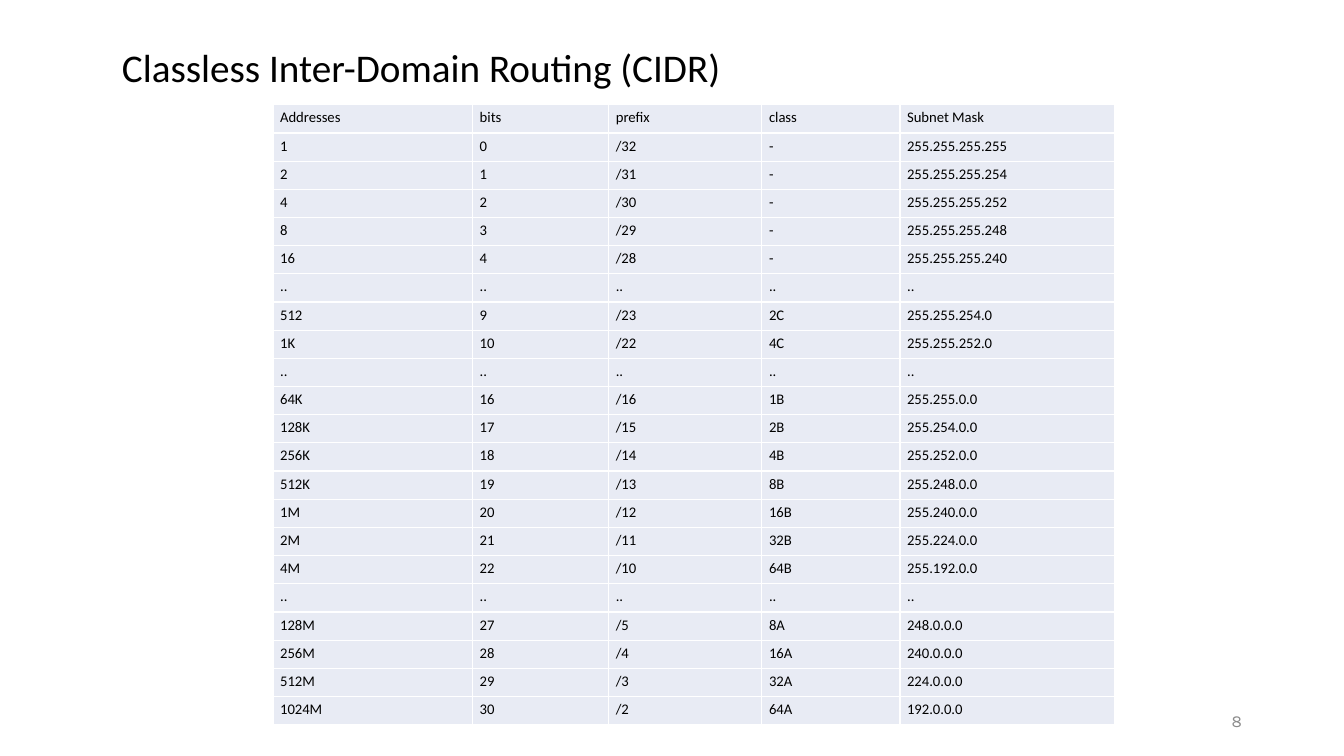
"""Build a slide with a table of CIDR address blocks."""
from typing import NamedTuple

from lxml import etree
from pptx import Presentation
from pptx import util as u
from pptx.dml.color import RGBColor
from pptx.enum import text
from pptx.oxml import ns

BLACK, GREY, WHITE, PALE_BLUE = "000000", "8B8B8B", "FFFFFF", "E8EBF4"
COLUMN_WIDTHS = (5.03, 3.43, 3.86, 3.48, 5.41)
ROW_HEIGHT = 0.71


class Box(NamedTuple):
    """Position and size in centimetres."""
    left: float
    top: float
    width: float
    height: float


class Block(NamedTuple):
    """One row of the table."""
    addresses: str
    bits: str
    prefix: str
    address_class: str
    mask: str


HEADER = Block("Addresses", "bits", "prefix", "class", "Subnet Mask")
GAP = Block("..", "..", "..", "..", "..")
BLOCKS = (
    HEADER,
    Block("1", "0", "/32", "-", "255.255.255.255"),
    Block("2", "1", "/31", "-", "255.255.255.254"),
    Block("4", "2", "/30", "-", "255.255.255.252"),
    Block("8", "3", "/29", "-", "255.255.255.248"),
    Block("16", "4", "/28", "-", "255.255.255.240"),
    GAP,
    Block("512", "9", "/23", "2C", "255.255.254.0"),
    Block("1K", "10", "/22", "4C", "255.255.252.0"),
    GAP,
    Block("64K", "16", "/16", "1B", "255.255.0.0"),
    Block("128K", "17", "/15", "2B", "255.254.0.0"),
    Block("256K", "18", "/14", "4B", "255.252.0.0"),
    Block("512K", "19", "/13", "8B", "255.248.0.0"),
    Block("1M", "20", "/12", "16B", "255.240.0.0"),
    Block("2M", "21", "/11", "32B", "255.224.0.0"),
    Block("4M", "22", "/10", "64B", "255.192.0.0"),
    GAP,
    Block("128M", "27", "/5", "8A", "248.0.0.0"),
    Block("256M", "28", "/4", "16A", "240.0.0.0"),
    Block("512M", "29", "/3", "32A", "224.0.0.0"),
    Block("1024M", "30", "/2", "64A", "192.0.0.0"),
)
TITLE_BOX = Box(2.82, 1.09, 20.27, 1.35)
NUMBER_BOX = Box(23.93, 17.65, 7.62, 1.02)
TABLE_BOX = Box(6.88, 2.64, sum(COLUMN_WIDTHS), ROW_HEIGHT * len(BLOCKS))


def color(value: str) -> RGBColor:
    """Turn a hex string into a colour."""
    return RGBColor.from_string(value)


def lengths(box: Box) -> list[u.Cm]:
    """Convert a box to slide lengths."""
    return [u.Cm(value) for value in box]


def style(paragraph, size: float, font: str, fill: str) -> None:
    """Set the font of a paragraph."""
    paragraph.font.size = u.Pt(size)
    paragraph.font.name = font
    paragraph.font.color.rgb = color(fill)


def fill_frame(shape, wording: str, alignment: text.PP_ALIGN):
    """Write one wrapped, vertically centred paragraph and return it."""
    frame = shape.text_frame
    frame.text = wording
    frame.word_wrap = True
    frame.auto_size = text.MSO_AUTO_SIZE.NONE
    frame.vertical_anchor = text.MSO_ANCHOR.MIDDLE
    paragraph = frame.paragraphs[0]
    paragraph.alignment = alignment
    return paragraph


def add_title(slide, wording: str) -> None:
    """Move and format the title placeholder."""
    shape = slide.shapes.title
    shape.left, shape.top, shape.width, shape.height = lengths(TITLE_BOX)
    paragraph = fill_frame(shape, wording, text.PP_ALIGN.LEFT)
    paragraph.line_spacing = 0.9
    style(paragraph, 28, "Calibri", BLACK)


def add_slide_number(slide, number: str) -> None:
    """Put the slide number at the lower right."""
    shape = slide.shapes.add_textbox(*lengths(NUMBER_BOX))
    paragraph = fill_frame(shape, number, text.PP_ALIGN.RIGHT)
    style(paragraph, 12, "Karla", GREY)


def add_borders(cell, fill: str, width: float) -> None:
    """Draw a line on all four sides of a cell."""
    properties = cell._tc.get_or_add_tcPr()
    for side in ("a:lnL", "a:lnR", "a:lnT", "a:lnB"):
        line = etree.SubElement(properties, ns.qn(side), w=str(u.Pt(width)))
        solid = etree.SubElement(line, ns.qn("a:solidFill"))
        etree.SubElement(solid, ns.qn("a:srgbClr"), val=fill)


def format_cell(cell, wording: str) -> None:
    """Write and format one table cell."""
    cell.text = wording
    cell.margin_left = cell.margin_right = u.Cm(0.18)
    cell.margin_top = cell.margin_bottom = u.Cm(0.13)
    add_borders(cell, WHITE, 0.96)
    cell.fill.solid()
    cell.fill.fore_color.rgb = color(PALE_BLUE)
    paragraph = cell.text_frame.paragraphs[0]
    paragraph.line_spacing = u.Pt(12)
    paragraph.space_after = u.Pt(12)
    style(paragraph, 10.5, "Calibri", BLACK)


def add_block_table(slide) -> None:
    """Add the table of address blocks."""
    table = slide.shapes.add_table(
        len(BLOCKS), len(COLUMN_WIDTHS), *lengths(TABLE_BOX)).table
    table.first_row = table.horz_banding = False
    for column, width in zip(table.columns, COLUMN_WIDTHS):
        column.width = u.Cm(width)
    for row, block in zip(table.rows, BLOCKS):
        row.height = u.Cm(ROW_HEIGHT)
        for cell, wording in zip(row.cells, block):
            format_cell(cell, wording)


def main() -> None:
    """Build and save the presentation."""
    presentation = Presentation()
    presentation.slide_width = u.Cm(33.87)
    presentation.slide_height = u.Cm(19.05)
    slide = presentation.slides.add_slide(presentation.slide_layouts[5])
    add_title(slide, "Classless Inter-Domain Routing (CIDR)")
    add_slide_number(slide, "8")
    add_block_table(slide)
    presentation.save("out.pptx")


if __name__ == "__main__":
    main()
